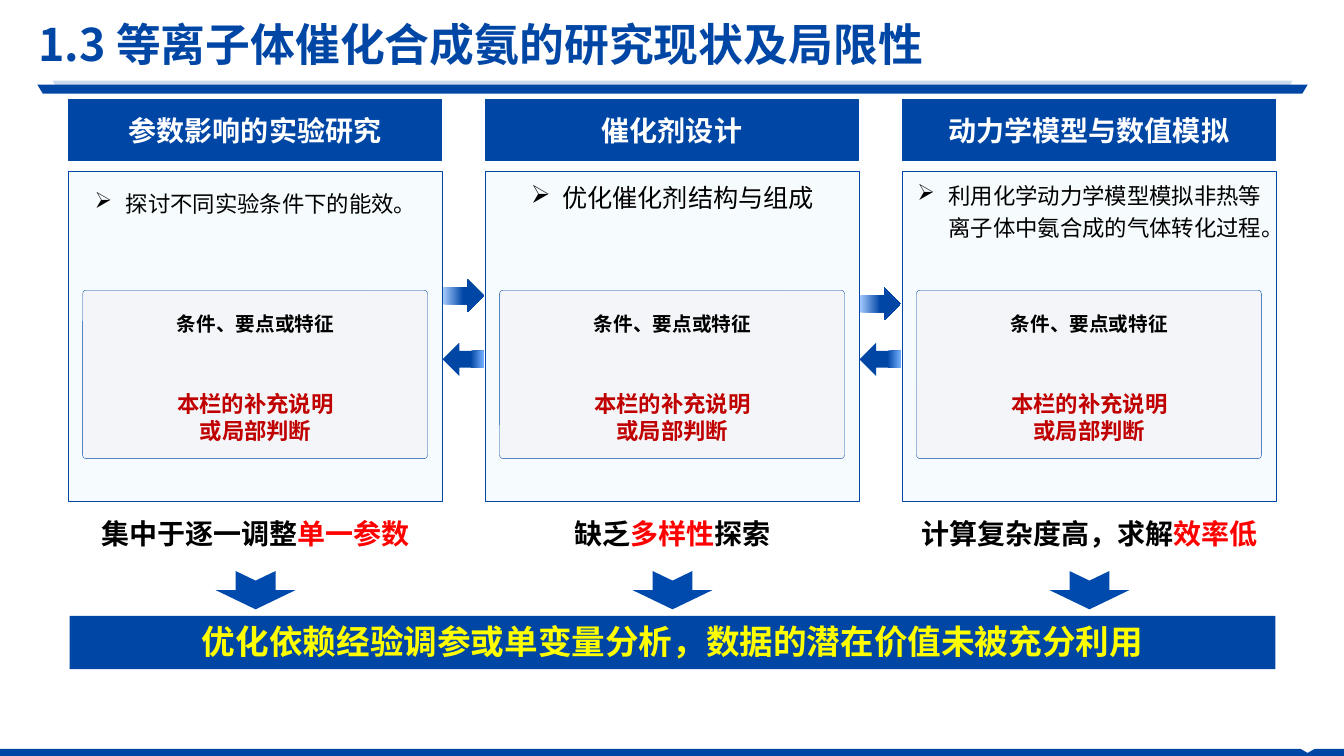
from lxml import etree
from pptx import Presentation, util as u
from pptx.dml.color import RGBColor
from pptx.enum import shapes, text
from pptx.oxml import ns

THEME = {
    "font": "Noto Sans CJK SC",
    "blue": "0046A5", "arrow": "004AAD", "pale_blue": "CCDAED",
    "light_in": "A9CDFF", "light_back": "75B0FF",
    "panel": "F6FBFD", "card": "F3F5F8",
    "white": "FFFFFF", "black": "000000", "red": "FF0000",
    "dark_red": "C00000", "yellow": "FFFF00",
    "title": 32, "banner": 24, "heading": 20, "bullet": 18, "body": 16, "label": 14,
}
KIND = shapes.MSO_SHAPE
CENTER = text.PP_ALIGN.CENTER
MIDDLE = text.MSO_ANCHOR.MIDDLE
TOP = text.MSO_ANCHOR.TOP

presentation = Presentation()
presentation.slide_width = u.Inches(13.33)
presentation.slide_height = u.Inches(7.5)
slide = presentation.slides.add_slide(presentation.slide_layouts[6])


def place(kind, box, fill=None, line=None, adjust=None):
    lengths = [u.Inches(length) for length in box]
    if kind is None:
        return slide.shapes.add_textbox(*lengths)
    shape = slide.shapes.add_shape(kind, *lengths)
    shape.shadow.inherit = False
    if fill:
        shape.fill.solid()
        shape.fill.fore_color.rgb = RGBColor.from_string(THEME[fill])
    if line:
        shape.line.color.rgb = RGBColor.from_string(THEME["blue"])
        shape.line.width = u.Pt(line)
    else:
        shape.line.fill.background()
    if adjust is not None:
        shape.adjustments[0] = adjust
    return shape


def write(shape, lines, size, bold=True, align=CENTER, anchor=MIDDLE,
          insets=(0.1, 0.05), spacing=None, bullet=None, wrap=True):
    frame = shape.text_frame
    across, down = (u.Inches(inset) for inset in insets)
    frame_format = {"word_wrap": wrap, "vertical_anchor": anchor,
                    "margin_left": across, "margin_right": across,
                    "margin_top": down, "margin_bottom": down}
    for name, value in frame_format.items():
        setattr(frame, name, value)
    for index, runs in enumerate(lines):
        paragraph = frame.add_paragraph() if index else frame.paragraphs[0]
        paragraph.alignment = align
        if spacing:
            paragraph.line_spacing = spacing
        if bullet:
            properties = paragraph._p.get_or_add_pPr()
            properties.set("marL", str(u.Inches(0.31)))
            properties.set("indent", str(-u.Inches(0.31)))
            etree.SubElement(properties, ns.qn("a:buChar")).set("char", bullet)
        for wording, color in runs:
            run = paragraph.add_run()
            run.text = wording
            run_format = {"name": THEME["font"], "size": u.Pt(THEME[size]), "bold": bold}
            for name, value in run_format.items():
                setattr(run.font, name, value)
            run.font.color.rgb = RGBColor.from_string(THEME[color])
            east_asian = etree.SubElement(run._r.get_or_add_rPr(), ns.qn("a:ea"))
            east_asian.set("typeface", THEME["font"])


COLUMN_LEFT, COLUMN_STEP, COLUMN_WIDTH = 0.68, 4.135, 3.71
columns = [
    {"heading": "参数影响的实验研究", "point": "探讨不同实验条件下的能效。",
     "size": "body", "spacing": 1.5,
     "limit": [("集中于逐一调整", "black"), ("单一参数", "red")]},
    {"heading": "催化剂设计", "point": "优化催化剂结构与组成",
     "size": "bullet", "spacing": 1.2,
     "limit": [("缺乏", "black"), ("多样性", "red"), ("探索", "black")]},
    {"heading": "动力学模型与数值模拟",
     "point": "利用化学动力学模型模拟非热等离子体中氨合成的气体转化过程。",
     "size": "body", "spacing": 1.2,
     "limit": [("计算复杂度高，求解", "black"), ("效率低", "red")]},
]

for index, column in enumerate(columns):
    left = COLUMN_LEFT + index * COLUMN_STEP
    middle = left + COLUMN_WIDTH / 2

    heading = place(KIND.RECTANGLE, (left, 0.99, 3.7, 0.6), "blue", 0.75)
    write(heading, [[(column["heading"], "white")]], "heading", insets=(0.04, 0.04))

    panel = place(KIND.ROUNDED_RECTANGLE, (left, 1.7, COLUMN_WIDTH, 3.27), "panel", 0.25, 0)
    write(panel, [[(column["point"], "black")]], column["size"], bold=False,
          anchor=TOP, spacing=column["spacing"], bullet="➢")

    place(KIND.ROUNDED_RECTANGLE, (left + 0.14, 2.88, 3.42, 1.67), "card", 0.25, 0.02)
    label = place(None, (left + 0.23, 2.99, 3.25, 0.4))
    write(label, [[("条件、要点或特征", "black")]], "label", insets=(0.06, 0.03), spacing=1.2)
    remark = place(None, (left + 0.25, 3.87, 3.21, 0.54))
    write(remark, [[("本栏的补充说明", "dark_red")], [("或局部判断", "dark_red")]],
          "body", insets=(0.06, 0.03))

    limit = place(None, (left, 5.08, COLUMN_WIDTH, 0.44))
    write(limit, [column["limit"]], "heading", anchor=TOP)
    down_arrow = place(KIND.NOTCHED_RIGHT_ARROW, (middle - 0.19, 5.46, 0.38, 0.79), "arrow")
    down_arrow.rotation = 90

for gap, forward_top in enumerate((2.77, 2.85)):
    left = COLUMN_LEFT + COLUMN_WIDTH + gap * COLUMN_STEP
    for kind, top, stops in (
        (KIND.RIGHT_ARROW, forward_top, ((0, "light_in"), (0.5, "blue"))),
        (KIND.LEFT_ARROW, 3.4, ((0.68, "blue"), (1, "light_back"))),
    ):
        arrow = place(kind, (left, top, 0.41, 0.33))
        arrow.fill.gradient()
        arrow.fill.gradient_angle = 0
        for stop, (position, color) in zip(arrow.fill.gradient_stops, stops):
            stop.position = position
            stop.color.rgb = RGBColor.from_string(THEME[color])

banner = place(KIND.RECTANGLE, (0.69, 6.11, 11.96, 0.53), "blue")
write(banner, [[("优化依赖经验调参或单变量分析，数据的潜在价值未被充分利用", "yellow")]],
      "banner", anchor=TOP)

for box, color in (((0.52, 0.8, 12.3, 0.09), "pale_blue"), ((0.37, 0.84, 12.6, 0.09), "blue")):
    place(KIND.TRAPEZOID, box, color, adjust=0.61).rotation = 180

outline = slide.shapes.build_freeform(0, u.Inches(7.43))
outline.add_line_segments([(u.Inches(x), u.Inches(y)) for x, y in (
    (12.9, 7.43), (12.97, 7.47), (13.04, 7.43), (13.33, 7.43), (13.33, 7.5), (0, 7.5))])
footer = outline.convert_to_shape()
footer.shadow.inherit = False
footer.fill.solid()
footer.fill.fore_color.rgb = RGBColor.from_string(THEME["blue"])
footer.line.fill.background()

title = place(None, (0.38, 0.1, 12.58, 0.67))
write(title, [[("1.3 等离子体催化合成氨的研究现状及局限性", "blue")]], "title",
      align=text.PP_ALIGN.LEFT, insets=(0, 0), wrap=False)

presentation.save("out.pptx")
